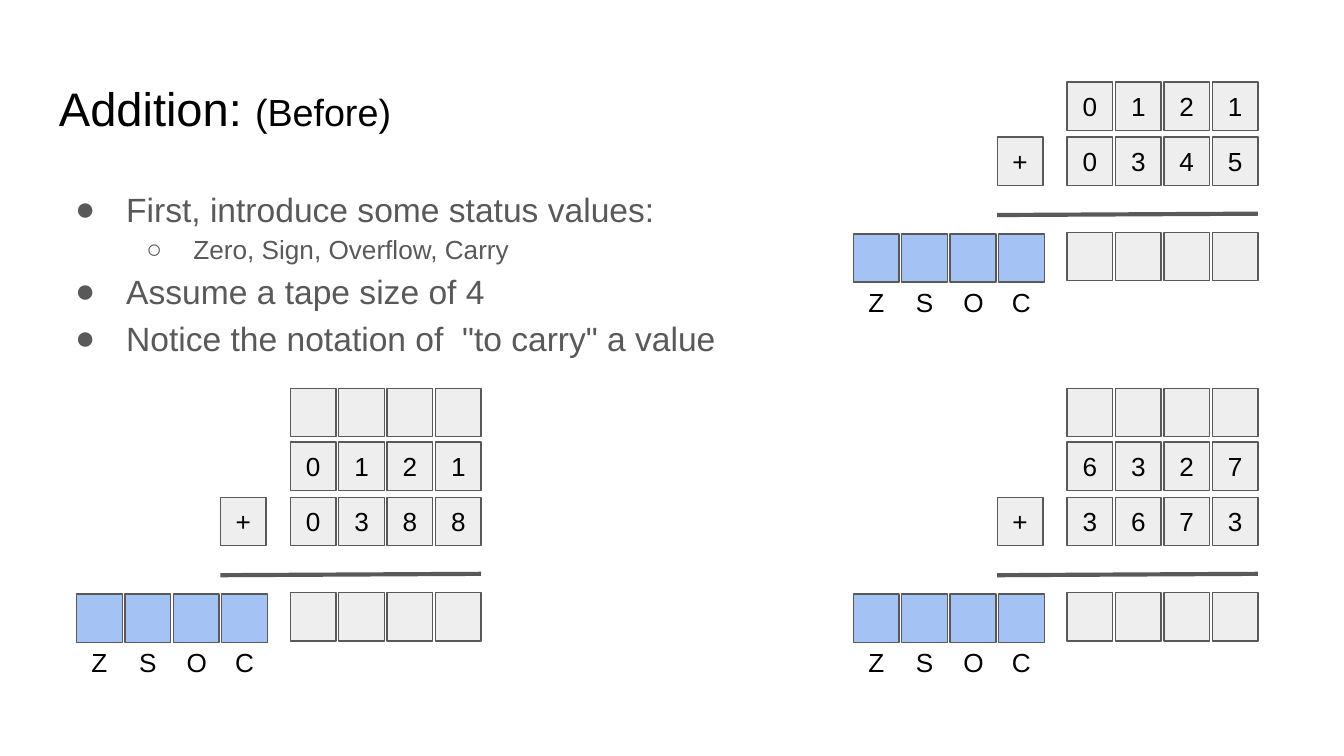
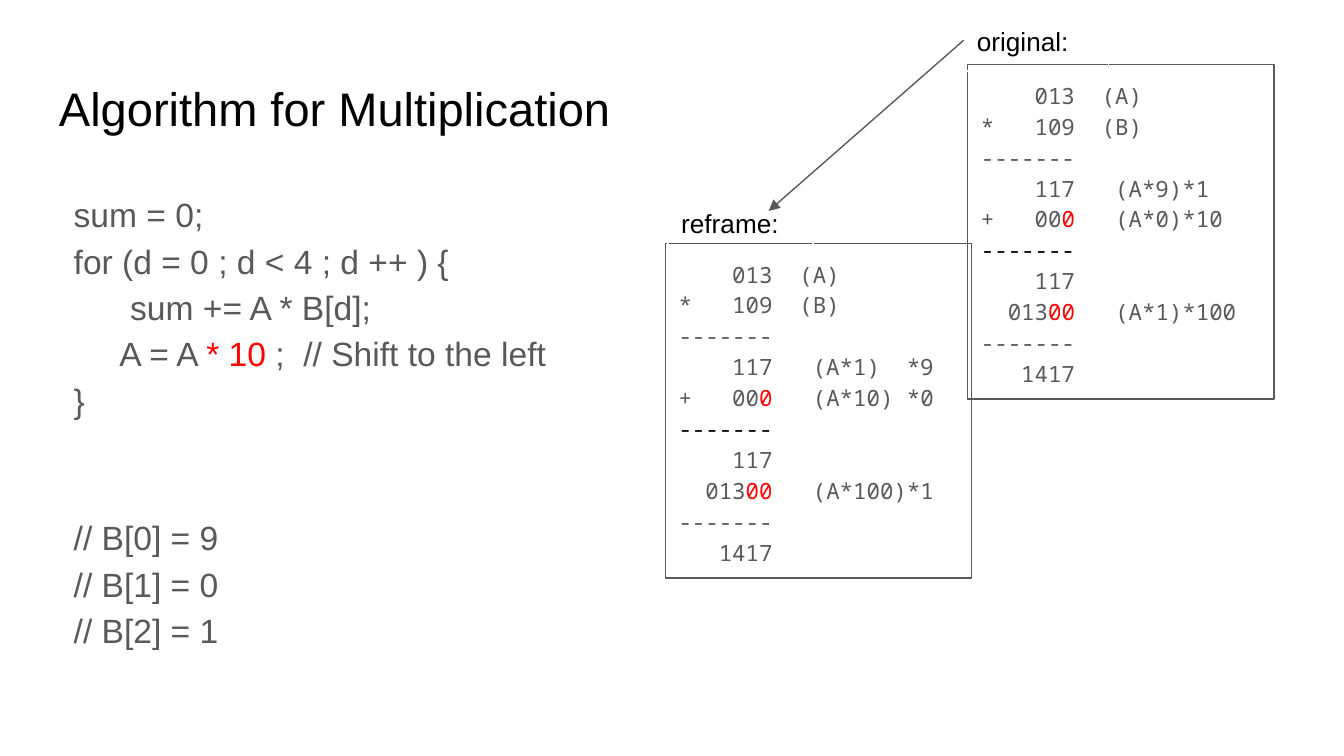
from dataclasses import dataclass

from lxml import etree
from pptx import Presentation
from pptx.dml.color import RGBColor
from pptx.enum import shapes, text
from pptx.oxml import ns
from pptx.util import Emu, Pt

PX = 9144  # 100 px to the inch


@dataclass(frozen=True)
class Theme:
    sans: str = "Arial"
    mono: str = "Noto Sans Mono"
    black: str = "000000"
    gray: str = "595959"
    red: str = "FF0000"
    white: str = "FFFFFF"
    tape: str = "EEEEEE"
    flag: str = "A4C2F4"
    title: float = 25.2
    subtitle: float = 20.2
    body: int = 18
    small: int = 14
    code: int = 12
    hairline: float = 0.75
    rule: float = 2.25
    spacing: float = 1.15


THEME = Theme()
TITLE_BOX = (34, 49, 932, 63)
CELL_WIDTH, CELL_HEIGHT, PITCH = 34, 36, 36
RULE = "-------"


def px(length):
    return Emu(length * PX)


def rgb(color):
    return RGBColor.from_string(color)


def add_xml(parent, tag, **attributes):
    return etree.SubElement(parent, ns.qn(tag), attributes)


def write(paragraph, content, size=THEME.small, color=THEME.black, font=THEME.sans,
          align=None, spacing=None, before=0, left=0, hanging=0, bullet=None):
    """Fill a paragraph; content is a string or a list of (string, run format)."""
    paragraph.alignment = align
    paragraph.line_spacing = spacing
    paragraph.space_before = Pt(before)
    runs = [(content, {})] if isinstance(content, str) else content
    for words, changes in runs:
        run = paragraph.add_run()
        run.text = words
        run.font.name = changes.get("font", font)
        run.font.size = Pt(changes.get("size", size))
        run.font.color.rgb = rgb(changes.get("color", color))
    properties = paragraph._p.get_or_add_pPr()
    properties.set("marL", str(left * PX))
    properties.set("indent", str(-hanging * PX))
    if bullet:
        add_xml(add_xml(properties, "a:buClr"), "a:srgbClr", val=color)
        add_xml(properties, "a:buFont", typeface=font)
        add_xml(properties, "a:buChar", char=bullet)


class Deck:
    def __init__(self, theme):
        self.theme = theme
        self.presentation = Presentation()
        self.presentation.slide_width = px(1000)
        self.presentation.slide_height = Emu(5143500)
        self.slide = None

    def new_slide(self, title):
        self.slide = self.presentation.slides.add_slide(self.presentation.slide_layouts[6])
        self.text_box(TITLE_BOX, [(title, {"size": self.theme.title})])

    def fill_frame(self, shape, paragraphs, anchor):
        """Write (content, format) pairs, one paragraph each."""
        frame = shape.text_frame
        frame.word_wrap = True
        frame.vertical_anchor = anchor
        frame.margin_left = frame.margin_right = px(10)
        frame.margin_top = frame.margin_bottom = px(10)
        for index, (content, style) in enumerate(paragraphs):
            paragraph = frame.add_paragraph() if index else frame.paragraphs[0]
            write(paragraph, content, **style)

    def text_box(self, box, paragraphs, anchor=text.MSO_ANCHOR.TOP):
        shape = self.slide.shapes.add_textbox(*map(px, box))
        self.fill_frame(shape, paragraphs, anchor)

    def rectangle(self, box, paragraphs=(), fill=None, line=THEME.gray,
                  anchor=text.MSO_ANCHOR.TOP):
        shape = self.slide.shapes.add_shape(shapes.MSO_SHAPE.RECTANGLE, *map(px, box))
        shape.shadow.inherit = False
        if fill:
            shape.fill.solid()
            shape.fill.fore_color.rgb = rgb(fill)
        else:
            shape.fill.background()
        shape.line.color.rgb = rgb(line)
        shape.line.width = Pt(self.theme.hairline)
        self.fill_frame(shape, paragraphs, anchor)

    def line(self, start, end, width, arrow=False):
        connector = self.slide.shapes.add_connector(
            shapes.MSO_CONNECTOR.STRAIGHT, *map(px, start + end))
        connector.line.color.rgb = rgb(self.theme.gray)
        connector.line.width = Pt(width)
        if arrow:
            add_xml(connector.line._get_or_add_ln(), "a:tailEnd", type="triangle")
        add_xml(connector._element.spPr, "a:effectLst")

    def cells(self, left, top, symbols, fill=None):
        """A row of cells, one per symbol; a space leaves a cell empty."""
        for index, symbol in enumerate(symbols):
            box = (left + index * PITCH, top, CELL_WIDTH, CELL_HEIGHT)
            label = [(symbol, {"align": text.PP_ALIGN.CENTER})] if symbol.strip() else []
            if fill:
                self.rectangle(box, label, fill, anchor=text.MSO_ANCHOR.MIDDLE)
            else:
                self.text_box(box, label, text.MSO_ANCHOR.MIDDLE)

    def addition(self, left, top, first, second, carry=True):
        theme, empty = self.theme, " " * len(first)
        digits, plus = left + 159, left + 107
        if carry:
            self.cells(digits, top - 40, empty, theme.tape)
        self.cells(digits, top, first, theme.tape)
        self.cells(digits, top + 41, second, theme.tape)
        self.cells(digits, top + 112, empty, theme.tape)
        self.line((plus, top + 99), (left + 301, top + 98), theme.rule)
        self.cells(plus, top + 41, "+", theme.tape)
        self.cells(left, top + 113, empty, theme.flag)
        self.cells(left, top + 146, "ZSOC")

    def long_multiplication(self, left, top, notes):
        """Monospaced working, with a note beside each partial product."""
        theme = self.theme
        red = {"color": theme.red}
        rows = [
            "    013  (A)",
            "*   109  (B)",
            RULE,
            f"    117   {notes[0]}",
            [("+   00", {}), ("0", red), (f"   {notes[1]}", {})],
            [(RULE, {"color": theme.black})],
            "    117",
            [("  013", {}), ("00", red), (f"   {notes[2]}", {})],
            RULE,
            "   1417",
        ]
        style = {"size": theme.code, "color": theme.gray, "font": theme.mono,
                 "spacing": theme.spacing}
        self.rectangle((left, top, 228, 249), [(row, style) for row in rows])

    def caption(self, left, top, words):
        self.rectangle((left, top, 108, 44), [(words, {})], line=self.theme.white)


def addition_slide(deck):
    theme = deck.theme
    deck.new_slide([("Addition: ", {}), ("(Before)", {"size": theme.subtitle})])
    shared = {"color": theme.gray, "spacing": theme.spacing}
    point = {**shared, "size": theme.body, "left": 50, "hanging": 38, "bullet": "●"}
    subpoint = {**shared, "left": 100, "hanging": 35, "bullet": "○"}
    deck.text_box((34, 126, 932, 374), [
        ("First, introduce some status values:", point),
        ("Zero, Sign, Overflow, Carry", subpoint),
        ("Assume a tape size of 4", point),
        ("Notice the notation of  \"to carry\" a value", point),
    ])
    deck.addition(57, 329, "0121", "0388")
    deck.addition(635, 61, "0121", "0345", carry=False)
    deck.addition(635, 329, "6327", "3673")


def multiplication_slide(deck):
    theme = deck.theme
    deck.new_slide("Algorithm for Multiplication")
    code = {"size": theme.body, "color": theme.gray, "spacing": theme.spacing}
    shift = [("A = A ", {}), ("* 10", {"color": theme.red}), (" ;  // Shift to the left", {})]
    deck.text_box((45, 130, 932, 374), [
        ("sum = 0;", code),
        ("for (d = 0 ; d < 4 ; d ++ ) {", code),
        ("sum += A * B[d];", {**code, "left": 42}),
        (shift, {**code, "left": 34}),
        ("}", code),
        ("// B[0] = 9", {**code, "before": 49}),
        ("// B[1] = 0", code),
        ("// B[2] = 1", code),
    ])
    deck.long_multiplication(720, 48, ("(A*9)*1", "(A*0)*10", "(A*1)*100"))
    deck.long_multiplication(495, 181, ("(A*1)  *9", "(A*10) *0", "(A*100)*1"))
    deck.caption(497, 144, "reframe:")
    deck.caption(717, 9, "original:")
    deck.line((717, 30), (572, 157), theme.hairline, arrow=True)


def main():
    deck = Deck(THEME)
    addition_slide(deck)
    multiplication_slide(deck)
    deck.presentation.save("out.pptx")


if __name__ == "__main__":
    main()
